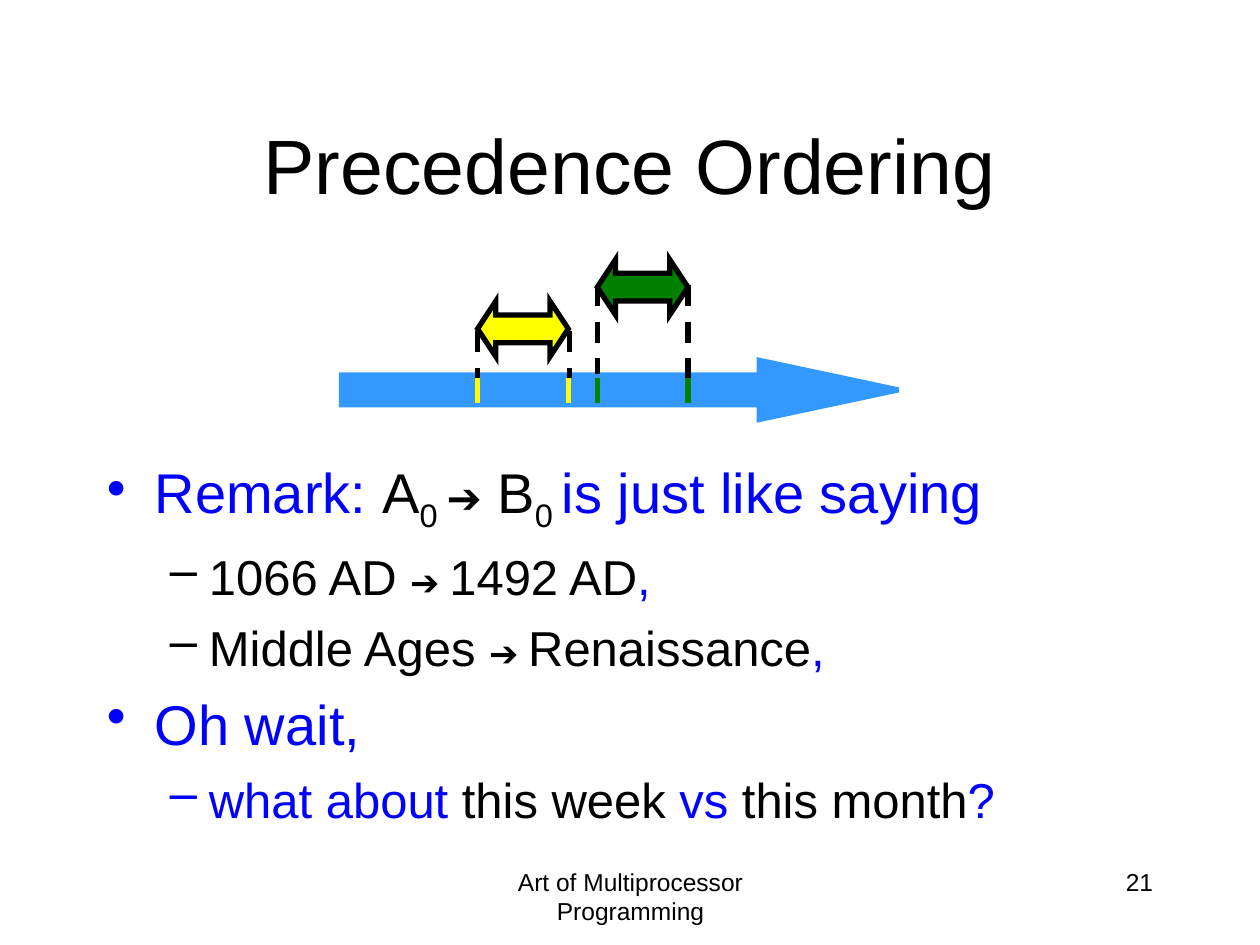
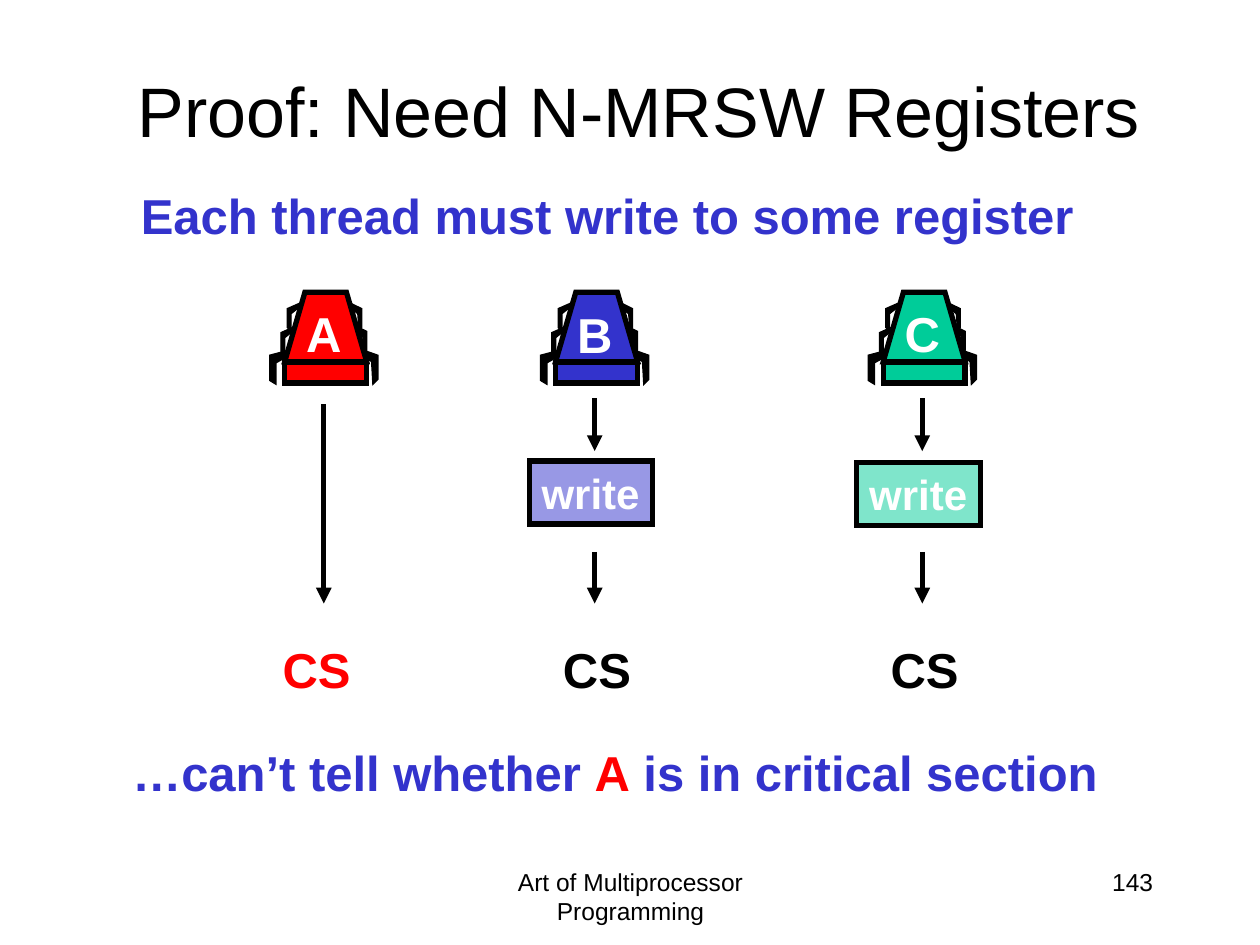
from pptx import Presentation
from pptx import util as u
from pptx.dml.color import RGBColor
from pptx.enum import dml, shapes, text
from pptx.oxml import ns, xmlchemy

PX = 9144
FONT = "Arial"
COLOURS = {
    "black": "000000", "white": "FFFFFF", "blue": "0000FF", "sky": "3399FF",
    "yellow": "FFFF00", "green": "008000", "red": "FF0000",
    "indigo": "3333CC", "teal": "00CC99",
}
LEFT, CENTRE, RIGHT = text.PP_ALIGN.LEFT, text.PP_ALIGN.CENTER, text.PP_ALIGN.RIGHT


def write(box, paragraphs, size, colour="black", bold=False, align=LEFT, wrap=True, middle=False):
    frame = box.text_frame
    frame.word_wrap = wrap
    frame.vertical_anchor = text.MSO_ANCHOR.MIDDLE if middle else text.MSO_ANCHOR.TOP
    for index, spans in enumerate(paragraphs):
        para = frame.paragraphs[0] if index == 0 else frame.add_paragraph()
        para.alignment = align
        for words, *look in spans:
            span = para.add_run()
            span.text = words
            span_colour, span_size, base = look + [colour, size, 0][len(look):]
            span.font.name = FONT
            span.font.size = u.Pt(span_size)
            span.font.bold = bold
            span.font.color.rgb = RGBColor.from_string(COLOURS[span_colour])
            if base:
                span.font._element.set("baseline", str(base * 1000))


def style(item, edge, weight, fill=None):
    if fill:
        item.fill.solid()
        item.fill.fore_color.rgb = RGBColor.from_string(COLOURS[fill])
    item.line.color.rgb = RGBColor.from_string(COLOURS[edge])
    item.line.width = u.Pt(weight)
    miter = xmlchemy.OxmlElement("a:miter")
    miter.set("lim", "800000")
    item.line._get_or_add_ln().append(miter)
    item.element.spPr.append(xmlchemy.OxmlElement("a:effectLst"))


deck = Presentation()
deck.slide_width, deck.slide_height = 1000 * PX, 750 * PX

pages = []
for title, title_area, title_size, number in [
    ("Precedence Ordering", (75, 67, 850, 125), 44, "21"),
    ("Proof: Need N-MRSW Registers", (67, 24, 880, 125), 40, "143"),
]:
    page = deck.slides.add_slide(deck.slide_layouts[6])
    pages.append(page)
    for words, area, size, align, middle in [
        ("Art of Multiprocessor Programming", (342, 683, 317, 50), 14, CENTRE, False),
        (number, (717, 683, 208, 50), 14, RIGHT, False),
        (title, title_area, title_size, CENTRE, True),
    ]:
        box = page.shapes.add_textbox(*[v * PX for v in area])
        write(box, [[(words,)]], size, align=align, middle=middle)

ordering, proof = pages

timeline = ordering.shapes.add_shape(
    shapes.MSO_SHAPE.RIGHT_ARROW, 271 * PX, 286 * PX, 442 * PX, 47 * PX)
timeline.adjustments[1] = 2.35
style(timeline, "sky", 3, "sky")

for x, top, bottom, colour in [
    (379, 263, 300, "black"), (452, 263, 300, "black"),
    (474, 226, 297, "black"), (546, 226, 320, "black"),
    (379, 300, 320, "yellow"), (451, 300, 320, "yellow"),
    (474, 300, 320, "green"), (546, 300, 320, "green"),
]:
    mark = ordering.shapes.add_connector(
        shapes.MSO_CONNECTOR.STRAIGHT, x * PX, top * PX, x * PX, bottom * PX)
    if colour == "black":
        mark.line.dash_style = dml.MSO_LINE.DASH
    style(mark, colour, 3)

for left, top, colour in [(379, 239, "yellow"), (474, 206, "green")]:
    interval = ordering.shapes.add_shape(
        shapes.MSO_SHAPE.LEFT_RIGHT_ARROW, left * PX, top * PX, 72 * PX, 44 * PX)
    interval.adjustments[1] = 0.33
    style(interval, "black", 3, colour)

remarks = [
    (0, "blue", [("Remark: ", "blue"), ("A",), ("0 ", "black", 32, -25), ("➔", "black", 24),
                 (" B",), ("0 ", "black", 32, -25), ("is just like saying", "blue")]),
    (1, "black", [("1066 AD ", "black", 28), ("➔ ", "black", 20),
                  ("1492 AD", "black", 28), (",", "blue", 28)]),
    (1, "black", [("Middle Ages ", "black", 28), ("➔ ", "black", 20),
                  ("Renaissance", "black", 28), (",", "blue", 28)]),
    (0, "blue", [("Oh wait,", "blue")]),
    (1, "blue", [("what about ", "blue", 28), ("this week", "black", 28), (" vs ", "blue", 28),
                 ("this month", "black", 28), ("?", "blue", 28)]),
]
body = ordering.shapes.add_textbox(75 * PX, 358 * PX, 850 * PX, 308 * PX)
write(body, [spans for _, _, spans in remarks], 32)
for index, (para, (level, colour, _)) in enumerate(zip(body.text_frame.paragraphs, remarks)):
    margin, hang, symbol, gap = [(38, 38, "•", 8), (81, 31, "–", 7)][level]
    para.level = level
    properties = para._p.get_or_add_pPr()
    properties.set("marL", str(margin * PX))
    properties.set("indent", str(-hang * PX))
    bullet_colour = xmlchemy.OxmlElement("a:buClr")
    value = xmlchemy.OxmlElement("a:srgbClr")
    value.set("val", COLOURS[colour])
    bullet_colour.append(value)
    bullet = xmlchemy.OxmlElement("a:buChar")
    bullet.set("char", symbol)
    properties.extend([bullet_colour, bullet])
    if index:
        para.space_before = u.Pt(gap)

claim = proof.shapes.add_textbox(102 * PX, 142 * PX, 810 * PX, 57 * PX)
write(claim, [[("Each thread must write to some register",)]], 28, "indigo", True)
conclusion = proof.shapes.add_textbox(93 * PX, 584 * PX, 801 * PX, 57 * PX)
write(conclusion, [[("…can’t tell whether ",), ("A", "red"), (" is in critical section ",)]],
      28, "indigo", True, CENTRE)

small_left = [(23, 241), (14, 245), (14, 260), (17, 263), (17, 249), (22, 245)]
small_right = [(65, 241), (73, 245), (73, 260), (71, 263), (70, 249), (65, 245)]
outlines = [
    ([(72, 277), (86, 282), (86, 301), (82, 305), (81, 287), (73, 282)], False),
    ([(x + 4, y + 18) for x, y in small_right], False),
    ([(15, 278), (0, 282), (0, 302), (5, 305), (5, 288), (14, 283)], False),
    ([(x - 5, y + 19) for x, y in small_left], False),
    ([(12, 287), (28, 232), (61, 232), (77, 287)], True),
    (small_right, False),
    (small_left, False),
]

for name, left, colour, letter_top, cs_left, cs_colour, cs_align, write_top, arrows in [
    ("A", 214, "red", 236, 214, "red", RIGHT, None, [(321, 479)]),
    ("B", 429, "indigo", 237, 437, "black", LEFT, 366, [(316, 358), (438, 479)]),
    ("C", 689, "teal", 236, 697, "black", LEFT, 367, [(316, 358), (438, 479)]),
]:
    thread = proof.shapes.add_group_shape()
    base = thread.shapes.add_shape(
        shapes.MSO_SHAPE.RECTANGLE, (left + 12) * PX, 288 * PX, 65 * PX, 16 * PX)
    style(base, "black", 3, colour)
    for points, is_cabin in outlines:
        start, *rest = [(left + x, y) for x, y in points]
        builder = thread.shapes.build_freeform(*start, scale=PX)
        builder.add_line_segments(rest, close=True)
        part = builder.convert_to_shape()
        style(part, "black", 3 if is_cabin else 0.75, colour if is_cabin else "black")

    for top, bottom in arrows:
        arrow = proof.shapes.add_connector(
            shapes.MSO_CONNECTOR.STRAIGHT,
            (left + 43) * PX, top * PX, (left + 43) * PX, bottom * PX)
        style(arrow, "black", 3)
        head = xmlchemy.OxmlElement("a:tailEnd")
        head.set("type", "triangle")
        arrow.line._get_or_add_ln().append(head)

    if write_top:
        step = proof.shapes.add_shape(
            shapes.MSO_SHAPE.RECTANGLE, (left - 9) * PX, write_top * PX, 98 * PX, 50 * PX)
        style(step, "black", 3, colour)
        alpha = xmlchemy.OxmlElement("a:alpha")
        alpha.set("val", "50000")
        step.element.spPr.find(ns.qn("a:solidFill"))[0].append(alpha)
        write(step, [[("write",)]], 24, "white", True, wrap=False)

    letter = proof.shapes.add_textbox((left + 19) * PX, letter_top * PX, 48 * PX, 57 * PX)
    write(letter, [[(name,)]], 28, "white", True, CENTRE, False)
    section = proof.shapes.add_textbox(cs_left * PX, 503 * PX, 74 * PX, 57 * PX)
    write(section, [[("CS",)]], 28, cs_colour, True, cs_align, False)

deck.save("out.pptx")
